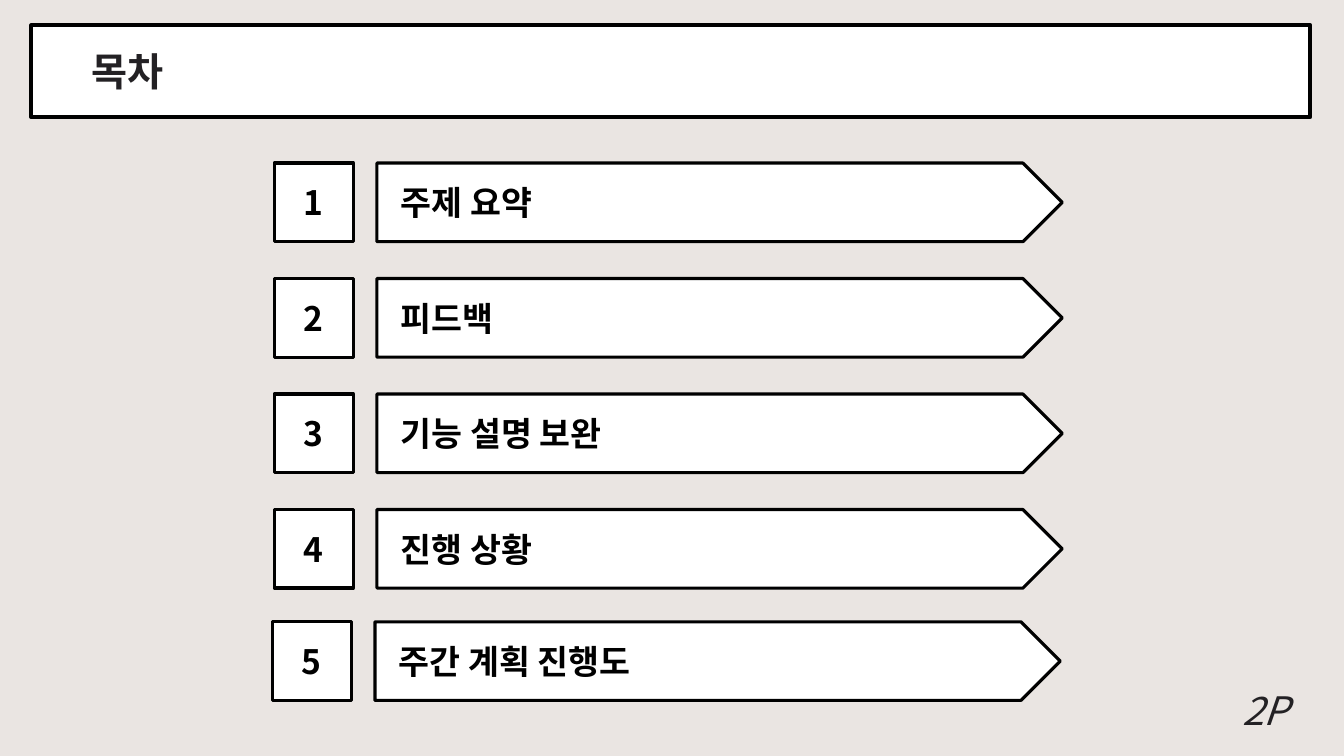
from dataclasses import dataclass

from lxml import etree
from pptx import Presentation
from pptx.dml.color import RGBColor
from pptx.enum.shapes import MSO_SHAPE
from pptx.enum.text import MSO_ANCHOR, PP_ALIGN
from pptx.oxml.ns import qn
from pptx.util import Cm, Pt

RECTANGLE = MSO_SHAPE.RECTANGLE
PENTAGON = MSO_SHAPE.PENTAGON
MIDDLE = MSO_ANCHOR.MIDDLE
LEFT = PP_ALIGN.LEFT
CENTER = PP_ALIGN.CENTER


@dataclass(frozen=True)
class Theme:
    font: str = "Noto Sans CJK KR"
    background: RGBColor = RGBColor(0xEA, 0xE5, 0xE2)
    panel: RGBColor = RGBColor(0xFF, 0xFF, 0xFF)
    outline: RGBColor = RGBColor(0x00, 0x00, 0x00)
    item_text: RGBColor = RGBColor(0x00, 0x00, 0x00)
    title_text: RGBColor = RGBColor(0x23, 0x21, 0x24)
    title_size: Pt = Pt(28)
    item_size: Pt = Pt(24)
    title_line: Pt = Pt(3)
    item_line: Pt = Pt(2.25)


THEME = Theme()

AGENDA = ["주제 요약", "피드백", "기능 설명 보완", "진행 상황", "주간 계획 진행도"]
ROW_LEFT = Cm(6.91)
ROW_TOP = Cm(4.11)
ROW_PITCH = Cm(2.91)
ROW_HEIGHT = Cm(1.98)
NUMBER_WIDTH = Cm(2)
ARROW_OFFSET = Cm(2.59)
ARROW_WIDTH = Cm(17.27)
LAST_ROW_SHIFT = (Cm(-0.05), Cm(-0.08))


def write_text(shape, text, size, color, align, bold=False, italic=False):
    text_frame = shape.text_frame
    text_frame.word_wrap = True
    text_frame.text = text
    paragraph = text_frame.paragraphs[0]
    paragraph.alignment = align
    font = paragraph.runs[0].font
    font.name = THEME.font
    font.size = size
    font.bold = bold
    font.italic = italic
    font.color.rgb = color
    properties = paragraph.runs[0]._r.get_or_add_rPr()
    etree.SubElement(properties, qn("a:ea")).set("typeface", THEME.font)


def add_panel(slide, kind, left, top, width, height, line_width):
    shape = slide.shapes.add_shape(kind, left, top, width, height)
    shape.shadow.inherit = False
    shape.fill.solid()
    shape.fill.fore_color.rgb = THEME.panel
    shape.line.color.rgb = THEME.outline
    shape.line.width = line_width
    shape.text_frame.vertical_anchor = MIDDLE
    return shape


def add_title(slide, text):
    title = add_panel(slide, RECTANGLE, Cm(0.79), Cm(0.64), Cm(32.23), Cm(2.31),
                      THEME.title_line)
    title.text_frame.margin_left = Cm(1.52)
    write_text(title, text, THEME.title_size, THEME.title_text, LEFT, bold=True)


def add_agenda_row(slide, number, text, left, top):
    badge = add_panel(slide, RECTANGLE, left, top, NUMBER_WIDTH, ROW_HEIGHT,
                      THEME.item_line)
    write_text(badge, str(number), THEME.item_size, THEME.item_text, CENTER, bold=True)
    arrow = add_panel(slide, PENTAGON, left + ARROW_OFFSET, top, ARROW_WIDTH,
                      ROW_HEIGHT, THEME.item_line)
    arrow.text_frame.margin_left = Cm(0.6)
    write_text(arrow, text, THEME.item_size, THEME.item_text, LEFT, bold=True)


def add_page_number(slide, text):
    box = slide.shapes.add_textbox(Cm(30.48), Cm(17.17), Cm(2.82), Cm(1.45))
    write_text(box, text, THEME.title_size, THEME.title_text, CENTER, italic=True)


def main():
    presentation = Presentation()
    presentation.slide_width = Cm(33.87)
    presentation.slide_height = Cm(19.05)
    slide = presentation.slides.add_slide(presentation.slide_layouts[6])
    slide.background.fill.solid()
    slide.background.fill.fore_color.rgb = THEME.background

    add_title(slide, "목차")
    for index, text in enumerate(AGENDA):
        is_last = index == len(AGENDA) - 1
        shift_x, shift_y = LAST_ROW_SHIFT if is_last else (0, 0)
        add_agenda_row(slide, index + 1, text, ROW_LEFT + shift_x,
                       ROW_TOP + index * ROW_PITCH + shift_y)
    add_page_number(slide, "2P")
    presentation.save("out.pptx")


if __name__ == "__main__":
    main()
